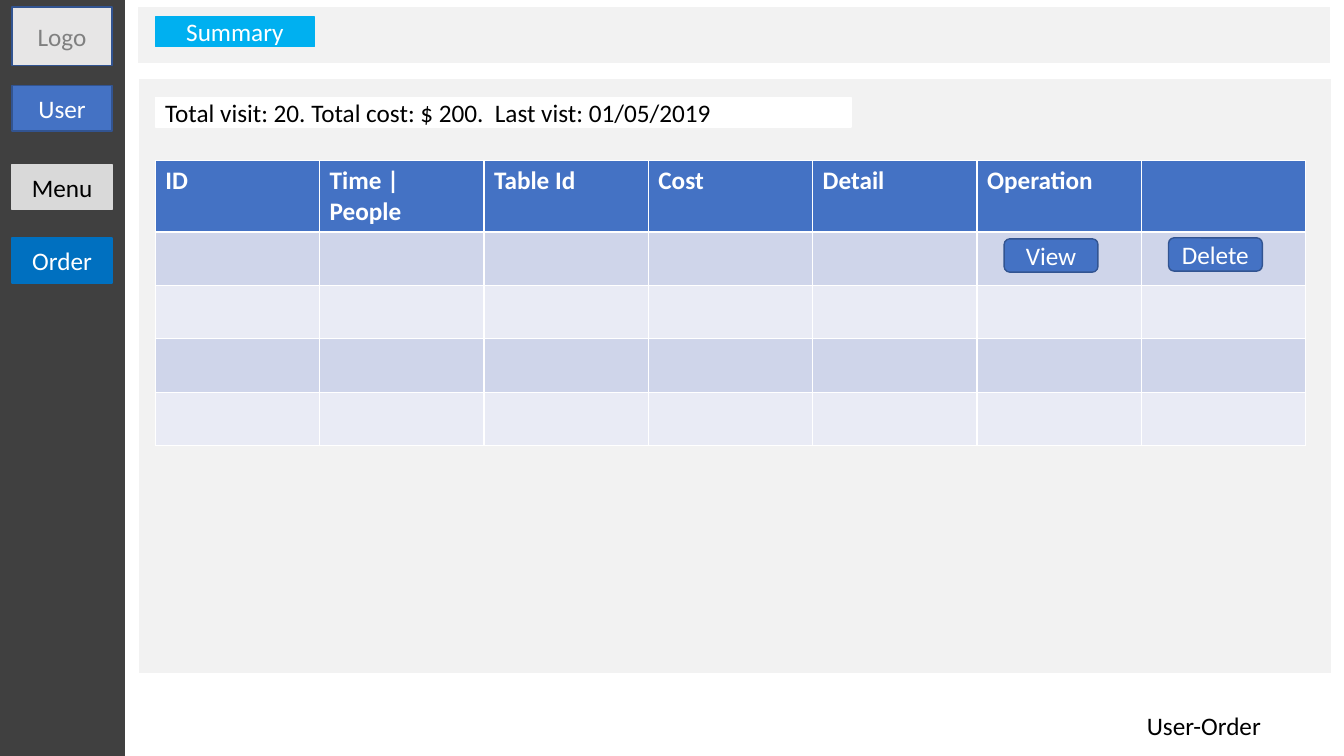
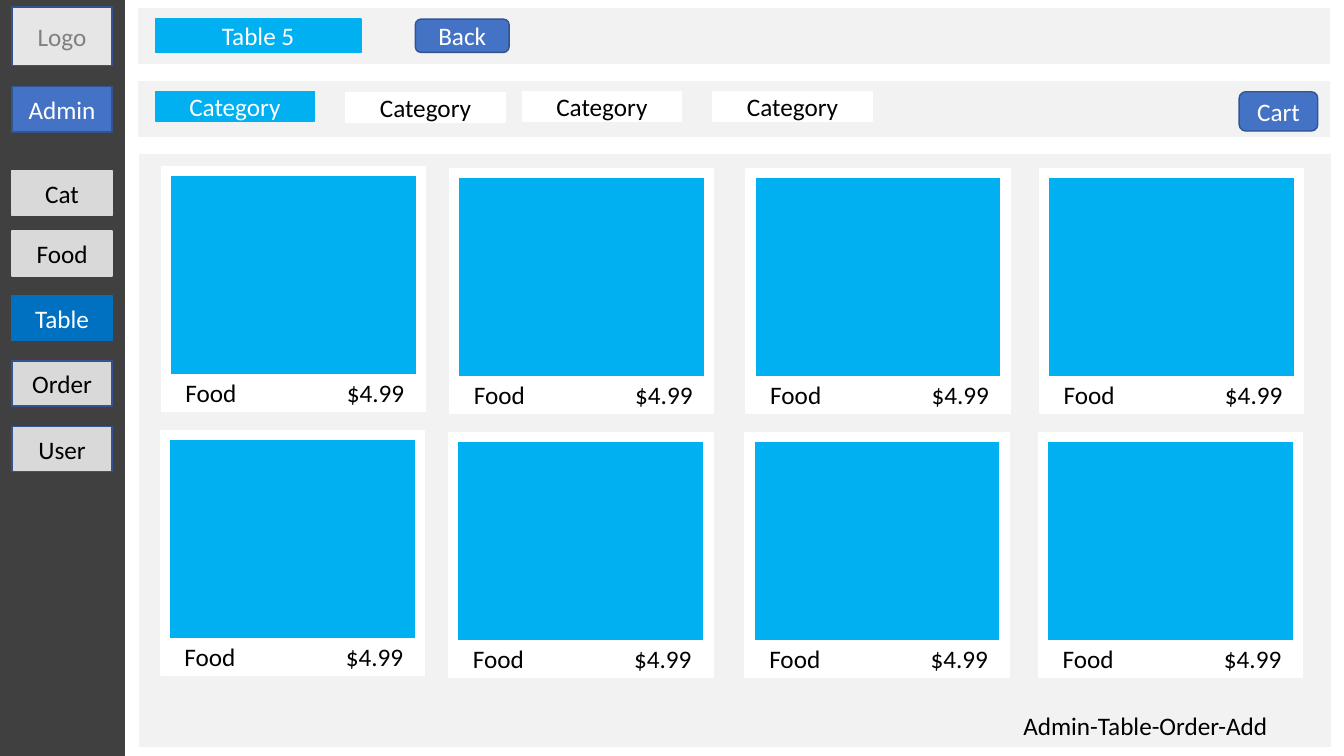
from dataclasses import dataclass

from lxml.etree import SubElement
from pptx import Presentation
from pptx.dml.color import RGBColor
from pptx.enum.shapes import MSO_SHAPE
from pptx.enum.text import MSO_ANCHOR, MSO_AUTO_SIZE, PP_ALIGN
from pptx.oxml.ns import qn
from pptx.util import Inches, Pt


@dataclass(frozen=True)
class Theme:
    font: str = "Calibri"
    size: int = 18
    line_width: int = 1
    white: str = "FFFFFF"
    black: str = "000000"
    sidebar: str = "404040"
    panel: str = "F2F2F2"
    primary: str = "4472C4"
    outline: str = "325491"
    accent: str = "00B0F0"
    active: str = "0070C0"
    idle: str = "D9D9D9"
    logo: str = "E7E6E6"
    muted: str = "808080"
    bands: tuple = ("CFD5EA", "E9EBF5")


THEME = Theme()


def write(tf, text, color=THEME.black, align=PP_ALIGN.CENTER, bold=False):
    p = tf.paragraphs[0]
    p.alignment = align
    r = p.add_run()
    r.text = text
    r.font.name = THEME.font
    r.font.size = Pt(THEME.size)
    r.font.bold = bold
    r.font.color.rgb = RGBColor.from_string(color)
    return p


def add_right_tab(p, position):
    tabs = SubElement(p._p.get_or_add_pPr(), qn("a:tabLst"))
    SubElement(tabs, qn("a:tab"), pos=str(Inches(position)), algn="r")


class Screen:
    """One wireframe slide: sidebar, content panels and a page name."""

    def __init__(self, prs, theme=THEME):
        self.theme = theme
        self.s = prs.slides.add_slide(prs.slide_layouts[5])
        self.box(0, 0, 1.23, 7.5, theme.sidebar)
        self.box(0.12, 0.07, 0.99, 0.58, theme.logo, theme.outline,
                 text="Logo", color=theme.muted)

    def box(self, x, y, w, h, fill, line=None, shape=MSO_SHAPE.RECTANGLE,
            text="", **style):
        sp = self.s.shapes.add_shape(shape, Inches(x), Inches(y), Inches(w), Inches(h))
        sp.shadow.inherit = False
        sp.fill.solid()
        sp.fill.fore_color.rgb = RGBColor.from_string(fill)
        sp.line.color.rgb = RGBColor.from_string(line or fill)
        sp.line.width = Pt(self.theme.line_width)
        if text:
            sp.text_frame.vertical_anchor = MSO_ANCHOR.MIDDLE
            write(sp.text_frame, text, **style)
        return sp

    def panel(self, x, y, h):
        self.box(x, y, 11.84, h, self.theme.panel, self.theme.white)

    def button(self, text, x, y, w=0.93, h=0.33):
        self.box(x, y, w, h, self.theme.primary, self.theme.outline,
                 MSO_SHAPE.ROUNDED_RECTANGLE, text, color=self.theme.white)

    def label(self, text, x, y, w=1.58, h=0.29, selected=False, **style):
        t = self.theme
        fill, color = (t.accent, t.white) if selected else (t.white, t.black)
        self.box(x, y, w, h, fill, text=text, color=color, **style)

    def nav(self, text, y, fill, line=None):
        t = self.theme
        color = t.black if fill == t.idle else t.white
        self.box(0.12, y, 0.99, 0.45, fill, line, text=text, color=color)

    def card(self, x, y, name, price):
        t = self.theme
        self.box(x, y, 2.62, 2.43, t.white)
        self.box(x + 0.09, y + 0.09, 2.44, 2, t.accent, t.white)
        sp = self.box(x + 0.08, y + 2.07, 2.44, 0.35, t.white)
        tf = sp.text_frame
        tf.vertical_anchor = MSO_ANCHOR.MIDDLE
        tf.margin_left = Inches(0.16)
        p = write(tf, f"{name}\t{price}", align=PP_ALIGN.LEFT)
        add_right_tab(p, 2.17)

    def table(self, headers, body_rows, x, y, col_width, row_height):
        t = self.theme
        rows, cols = body_rows + 1, len(headers)
        table = self.s.shapes.add_table(
            rows, cols, Inches(x), Inches(y),
            Inches(col_width * cols), Inches(row_height * rows)).table
        for col in table.columns:
            col.width = Inches(col_width)
        for i, row in enumerate(table.rows):
            row.height = Inches(row_height)
            fill = t.bands[(i - 1) % 2] if i else t.primary
            for cell in row.cells:
                cell.fill.solid()
                cell.fill.fore_color.rgb = RGBColor.from_string(fill)
        for cell, header in zip(table.rows[0].cells, headers):
            if header:
                write(cell.text_frame, header, color=t.white,
                      align=PP_ALIGN.LEFT, bold=True)

    def page_name(self, text, x, w):
        """Set the title at the foot of the slide, in front of the panels."""
        title = self.s.shapes.title
        title.left, title.top = Inches(x), Inches(7)
        title.width, title.height = Inches(w), Inches(0.4)
        tf = title.text_frame
        tf.auto_size = MSO_AUTO_SIZE.NONE
        tf.vertical_anchor = MSO_ANCHOR.MIDDLE
        write(tf, text)
        self.s.shapes.element.append(title.element)


def build_user_order(prs):
    t = THEME
    screen = Screen(prs)
    screen.nav("User", 0.85, t.primary, t.outline)
    screen.nav("Menu", 1.63, t.idle)
    screen.nav("Order", 2.36, t.active)
    screen.panel(1.36, 0.06, 0.57)
    screen.panel(1.37, 0.78, 5.9)
    screen.label("Summary", 1.54, 0.17, selected=True)
    screen.label("Total visit: 20. Total cost: $ 200.  Last vist: 01/05/2019",
                 1.54, 0.97, w=6.9, align=PP_ALIGN.LEFT)
    headers = ("ID", "Time | People", "Table Id", "Cost", "Detail", "Operation", "")
    screen.table(headers, 4, 1.54, 1.59, 1.63, 0.53)
    screen.button("View", 9.96, 2.37)
    screen.button("Delete", 11.59, 2.36)
    screen.page_name("User-Order", 10.92, 2.04)


def build_table_order(prs):
    t = THEME
    screen = Screen(prs)
    screen.nav("Admin", 0.86, t.primary, t.outline)
    screen.nav("Cat", 1.69, t.idle)
    screen.nav("Food", 2.29, t.idle)
    screen.nav("Table", 2.93, t.active)
    screen.nav("Order", 3.58, t.idle, t.outline)
    screen.nav("User", 4.23, t.idle, t.outline)
    screen.panel(1.36, 0.07, 0.57)
    screen.panel(1.36, 0.8, 0.57)
    screen.panel(1.37, 1.52, 5.9)
    screen.label("Table 5", 1.54, 0.19, w=2.04, h=0.33, selected=True)
    screen.button("Back", 4.12, 0.19)
    for i, (x, y) in enumerate(((1.54, 0.91), (3.43, 0.92), (5.18, 0.91), (7.07, 0.91))):
        screen.label("Category", x, y, selected=i == 0)
    screen.button("Cart", 12.29, 0.91, w=0.78, h=0.39)
    for row in range(2):
        for x, y in ((1.6, 1.65), (4.46, 1.67), (7.4, 1.67), (10.31, 1.67)):
            screen.card(x - 0.01 * row, y + 2.62 * row, "Food", "$4.99")
    screen.page_name("Admin-Table-Order-Add", 9.76, 3.2)


def main():
    prs = Presentation()
    prs.slide_width, prs.slide_height = Inches(13.33), Inches(7.5)
    build_user_order(prs)
    build_table_order(prs)
    prs.save("out.pptx")


if __name__ == "__main__":
    main()
